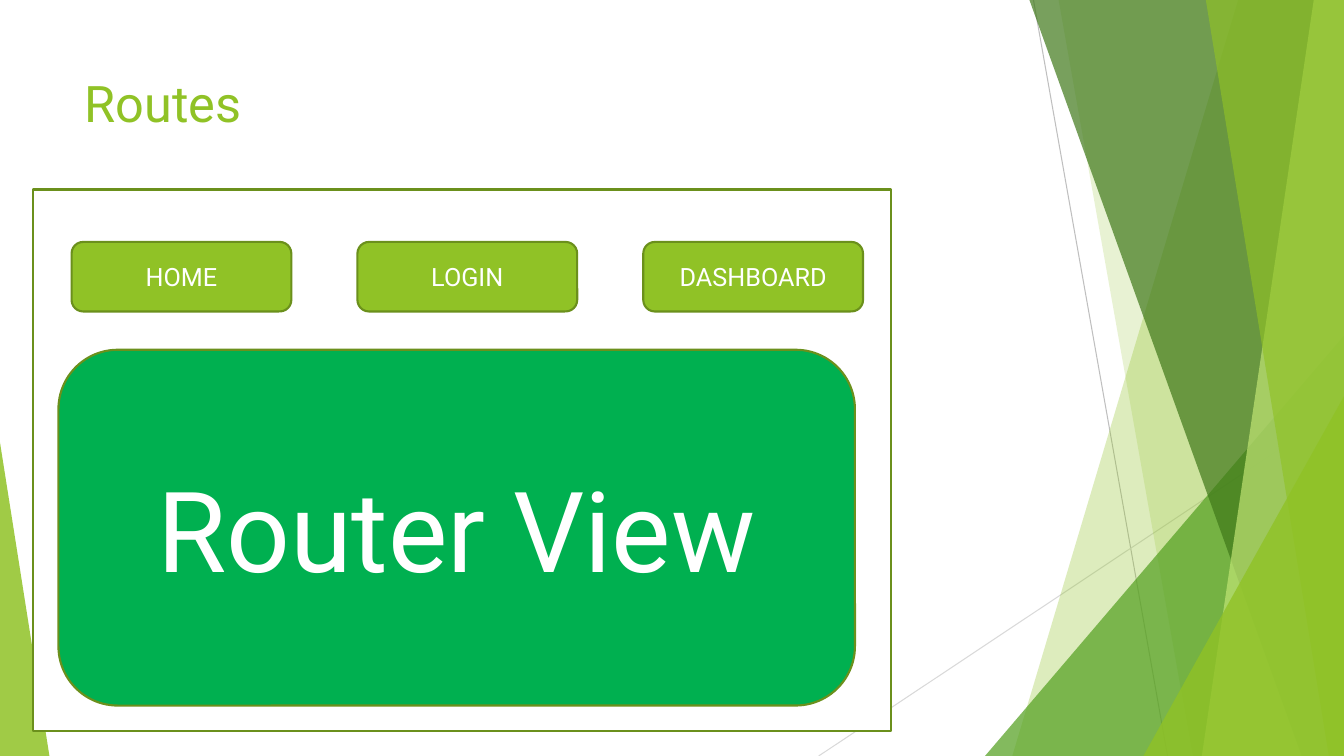
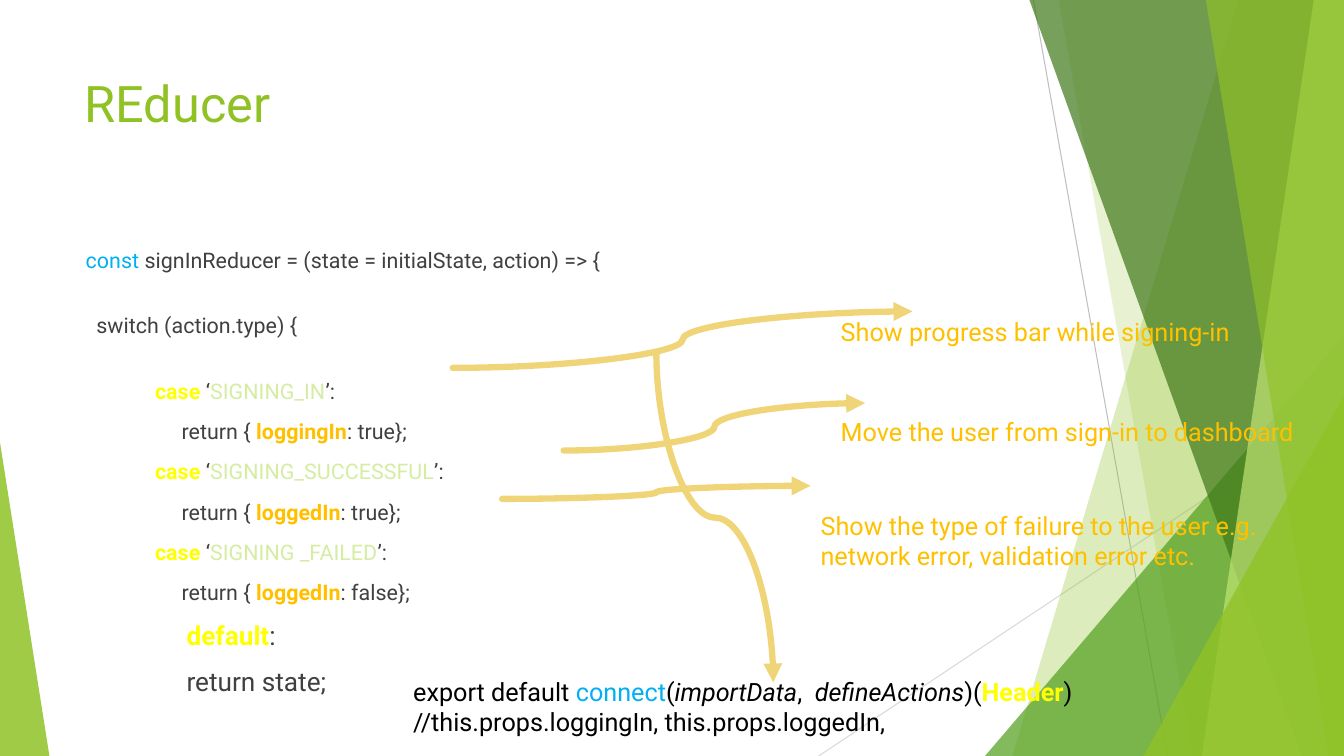
from lxml import etree
from pptx import Presentation
from pptx import util as u
from pptx.dml import color
from pptx.enum import shapes, text
from pptx.oxml import ns

WIDTH, HEIGHT = 13.33, 7.5
FONT = "Roboto"
LIME, OLIVE, GREEN, WHITE = "90C226", "6B901C", "00B050", "FFFFFF"
BLACK, GREY, BLUE, YELLOW = "000000", "404040", "00B0F0", "FFFF00"
AMBER, SAND, PALE = "FFC000", "F0D578", "D5EDA2"

# Backdrop: bands run from a top x to a bottom x and fill to the right edge;
# wedges are left, top, width and apex side
HAIRLINES = [((10.25, 0), (11.58, HEIGHT), "BFBFBF"),
             ((WIDTH, 4.03), (8.12, HEIGHT), "D9D9D9")]
FACETS = [
    ("band", (12.28, 10.04), LIME, 30),
    ("band", (10.5, 11.83), LIME, 20),
    ("wedge", (9.77, 3.33, 3.56, 1), "54A021", 72),
    ("band", (10.21, 12.91), "3F7819", 70),
    ("band", (13.03, 11.92), "C0E474", 70),
    ("band", (11.96, 13.18), LIME, 65),
    ("wedge", (11.34, 3.93, 1.99, 1), LIME, 80),
    ("wedge", (0, 4.39, 0.49, 0), LIME, 85),
]

# Routes slide
NAV_ITEMS = ["HOME", "LOGIN", "DASHBOARD"]
NAV_LEFT, NAV_RIGHT, NAV_WIDTH = 0.71, 8.56, 2.18

# Reducer slide: code is lines of (text, colour, style) spans
CASES = [("SIGNING_IN", "loggingIn", "true"),
         ("SIGNING_SUCCESSFUL", "loggedIn", "true"),
         ("SIGNING _FAILED", "loggedIn", "false")]
CODE_HEAD = [
    [("const", BLUE, ""),
     (" signInReducer = (state = initialState, action) => {", GREY, "")],
    [("  switch (action.type) {", GREY, "")],
]
CODE_DEFAULT = [[("default", YELLOW, "bold"), (":", GREY, "")],
                [("return state;", GREY, "")]]
EXPORT = [
    [("export default ", BLACK, ""), ("connect", BLUE, ""), ("(", BLACK, ""),
     ("importData", BLACK, "italic"), (",  ", BLACK, ""),
     ("defineActions", BLACK, "italic"), (")(", BLACK, ""),
     ("Header", YELLOW, "bold"), (")", BLACK, "")],
    [("//this.props.loggingIn, this.props.loggedIn,", BLACK, "")],
]
LABELS = [
    ((8.24, 3.09, 4.34, 0.4), ["Show progress bar while signing-in"]),
    ((8.24, 4.08, 5.15, 0.4), ["Move the user from sign-in to dashboard"]),
    ((8.04, 5.01, 4.99, 0.71), ["Show the type of failure to the user e.g.",
                                "network error, validation error etc."]),
]
ARROWS = [((4.49, 3.65), (9.05, 3.09), False),
          ((5.59, 4.47), (8.58, 4), False),
          ((4.98, 4.95), (8.04, 4.82), False),
          ((6.51, 3.5), (7.67, 6.77), True)]
CODE_SIZE, DEFAULT_SIZE, CODE_GAP, BLANK_LINE = 15.3, 18.7, 10.4, 18


def rgb(value):
    return color.RGBColor.from_string(value)


def inches(*values):
    return [u.Inches(value) for value in values]


def write(para, spans, size):
    for words, tint, style in spans:
        span = para.add_run()
        span.text = words
        span.font.name, span.font.size = FONT, u.Pt(size)
        span.font.color.rgb = rgb(tint)
        span.font.bold, span.font.italic = style == "bold", style == "italic"


def write_lines(frame, lines, size):
    for index, spans in enumerate(lines):
        para = frame.paragraphs[0] if index == 0 else frame.add_paragraph()
        write(para, spans, size)


def paint(shape, fill, alpha=None, outline=None):
    shape.shadow.inherit = False
    shape.fill.solid()
    shape.fill.fore_color.rgb = rgb(fill)
    if alpha is not None:
        tint = shape.element.spPr.find(ns.qn("a:solidFill"))[0]
        etree.SubElement(tint, ns.qn("a:alpha")).set("val", str(alpha * 1000))
    if outline:
        shape.line.color.rgb = rgb(outline)
        shape.line.width = u.Pt(1.5)
    else:
        shape.line.fill.background()


def add_line(page, kind, begin, end, tint, weight):
    line = page.shapes.add_connector(kind, *inches(*begin, *end))
    line.line.color.rgb = rgb(tint)
    line.line.width = u.Pt(weight)
    etree.SubElement(line.element.spPr, ns.qn("a:effectLst"))
    return line


def add_arrow(page, begin, end, vertical):
    if vertical:  # lay the curve flat about its centre, then turn it
        mid_x, mid_y = (begin[0] + end[0]) / 2, (begin[1] + end[1]) / 2
        half_w, half_h = (end[0] - begin[0]) / 2, (end[1] - begin[1]) / 2
        begin = mid_x + half_h, mid_y - half_w
        end = mid_x - half_h, mid_y + half_w
    arrow = add_line(page, shapes.MSO_CONNECTOR.CURVE, begin, end, SAND, 4.5)
    properties = arrow.element.spPr
    if vertical:
        properties.find(ns.qn("a:xfrm")).set("rot", str(270 * 60000))
    stroke = properties.find(ns.qn("a:ln"))
    stroke.set("cap", "rnd")
    etree.SubElement(stroke, ns.qn("a:tailEnd")).set("type", "triangle")


def add_block(page, kind, place, fill, words="", size=18):
    block = page.shapes.add_shape(kind, *inches(*place))
    paint(block, fill, outline=OLIVE)
    if words:
        frame = block.text_frame
        frame.vertical_anchor = text.MSO_ANCHOR.MIDDLE
        para = frame.paragraphs[0]
        para.alignment = text.PP_ALIGN.CENTER
        write(para, [(words, WHITE, "")], size)


def add_text(page, place, lines, wrap):
    box = page.shapes.add_textbox(*inches(*place))
    box.text_frame.word_wrap = wrap
    write_lines(box.text_frame, lines, 18)


def prepare(placeholder, place):
    placeholder.left, placeholder.top, placeholder.width, placeholder.height = inches(*place)
    frame = placeholder.text_frame
    frame.word_wrap = True
    frame.auto_size = text.MSO_AUTO_SIZE.NONE
    frame.vertical_anchor = text.MSO_ANCHOR.TOP
    return frame


def add_page(deck, layout, title):
    page = deck.slides.add_slide(deck.slide_layouts[layout])
    para = prepare(page.shapes.title, (0.74, 0.67, 9.4, 1.44)).paragraphs[0]
    para.alignment = text.PP_ALIGN.LEFT
    write(para, [(title, LIME, "")], 36)
    return page


def add_backdrop(deck, page):
    """Draw the facets on a page, then move them to the slide master."""
    parts = [add_line(page, shapes.MSO_CONNECTOR.STRAIGHT, begin, end, tint, 0.75)
             for begin, end, tint in HAIRLINES]
    for kind, place, tint, alpha in FACETS:
        if kind == "band":
            top_x, bottom_x = place
            outline = page.shapes.build_freeform(*inches(top_x, 0))
            corners = [(WIDTH, 0), (WIDTH, HEIGHT), (bottom_x, HEIGHT)]
            outline.add_line_segments([inches(*corner) for corner in corners])
            facet = outline.convert_to_shape()
        else:
            left, top, width, apex = place
            facet = page.shapes.add_shape(shapes.MSO_SHAPE.ISOSCELES_TRIANGLE,
                                          *inches(left, top, width, HEIGHT - top))
            facet.adjustments[0] = apex
        paint(facet, tint, alpha)
        parts.append(facet)
    tree = deck.slide_master.shapes.element
    for index, part in enumerate(parts):
        part.element.xpath(".//p:cNvPr")[0].set("id", str(100 + index))
        tree.insert(2 + index, part.element)


def add_routes(page):
    rounded = shapes.MSO_SHAPE.ROUNDED_RECTANGLE
    add_block(page, shapes.MSO_SHAPE.RECTANGLE, (0.33, 1.88, 8.51, 5.37), WHITE)
    step = (NAV_RIGHT - NAV_LEFT - NAV_WIDTH) / (len(NAV_ITEMS) - 1)
    for index, item in enumerate(NAV_ITEMS):
        add_block(page, rounded, (NAV_LEFT + index * step, 2.4, NAV_WIDTH, 0.69), LIME, item)
    add_block(page, rounded, (0.58, 3.47, 7.9, 3.53), GREEN, "Router View", 80)


def add_code(page):
    lines = list(CODE_HEAD)
    for action, flag, value in CASES:
        lines.append([("             ", GREY, ""), ("case", YELLOW, "bold"),
                      (" ‘", GREY, ""), (action, PALE, ""), ("’:", GREY, "")])
        lines.append([("                  return { ", GREY, ""),
                      (flag, AMBER, "bold"), (f": {value}}};", GREY, "")])
    frame = prepare(page.placeholders[1], (0.75, 2.4, 11.83, 4.95))
    write_lines(frame, lines, CODE_SIZE)
    for spans in CODE_DEFAULT:
        para = frame.add_paragraph()
        para.level = 1
        write(para, spans, DEFAULT_SIZE)
    for index, para in enumerate(frame.paragraphs):
        extra = BLANK_LINE if index in (1, 2) else 0
        para.space_before = u.Pt(CODE_GAP + extra if index else 0)
        properties = para._p.get_or_add_pPr()
        properties.set("marL", str(u.Inches(para.level)))
        properties.set("indent", "0")
        etree.SubElement(properties, ns.qn("a:buNone"))


def add_reducer(page):
    add_code(page)
    for place, lines in LABELS:
        add_text(page, place, [[(line, AMBER, "")] for line in lines], False)
    add_text(page, (4, 6.66, 8.81, 0.71), EXPORT, True)
    for begin, end, vertical in ARROWS:
        add_arrow(page, begin, end, vertical)


def main():
    deck = Presentation()
    deck.slide_width, deck.slide_height = inches(WIDTH, HEIGHT)
    routes = add_page(deck, 5, "Routes")
    add_backdrop(deck, routes)
    add_routes(routes)
    add_reducer(add_page(deck, 1, "REducer"))
    deck.save("out.pptx")


if __name__ == "__main__":
    main()
